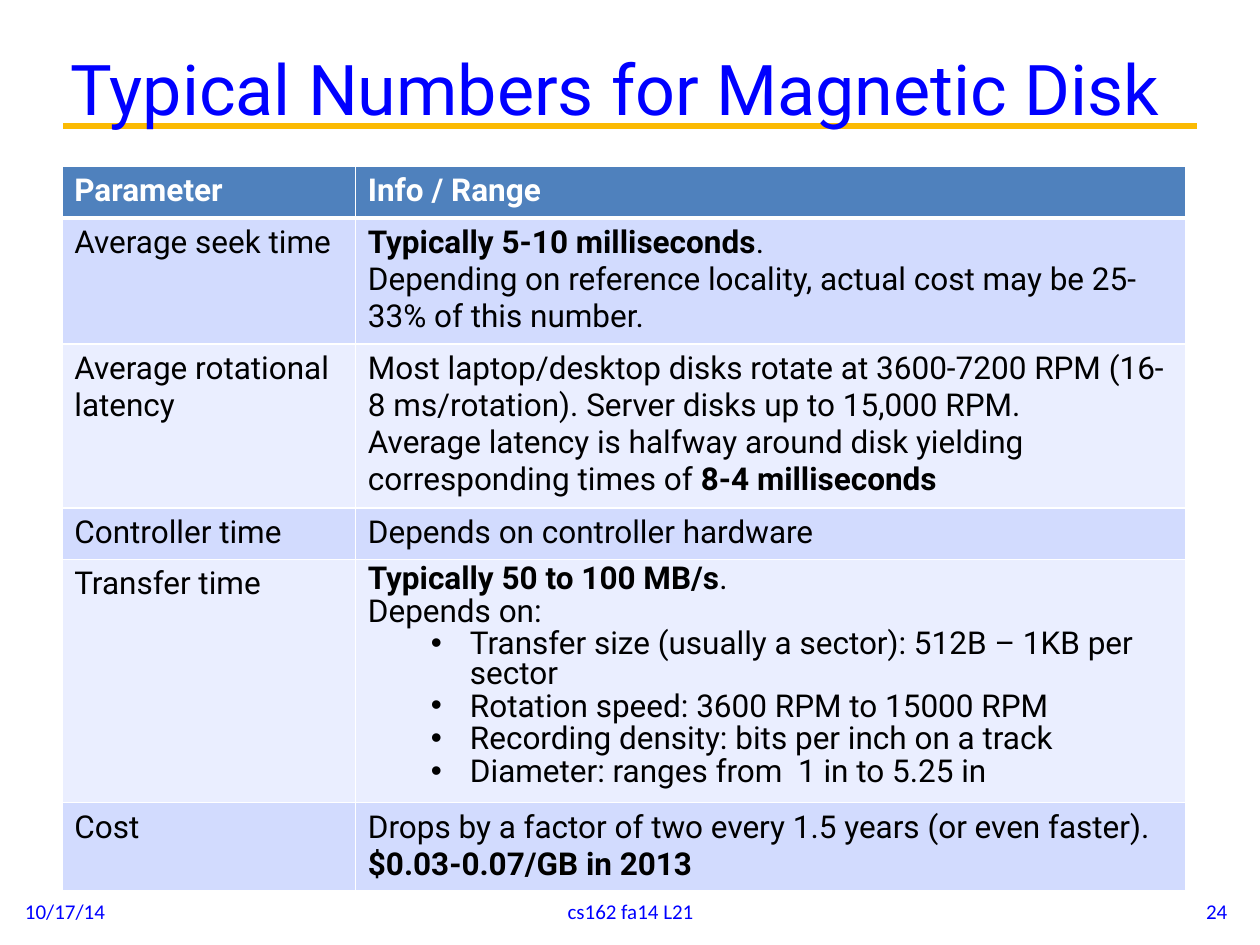
from lxml import etree
from pptx import Presentation
from pptx import util as u
from pptx.dml.color import RGBColor
from pptx.enum import shapes, text
from pptx.oxml.ns import qn

INK = {
    "blue": "0000FF", "gold": "FBBA03", "head": "4F81BD", "dark": "D2DBFE",
    "light": "EAEEFF", "white": "FFFFFF", "black": "000000",
}
COLS = [2.33, 6.59]
HIGHS = [0.41, 1, 1.3, 0.41, 1.93, 0.7]
BULLET = "• "
# Text between asterisks is bold; a leading bullet makes a list item.
ROWS = [
    (["*Parameter*"], ["*Info / Range*"]),
    (["Average seek time"],
     ["*Typically 5-10 milliseconds*.",
      "Depending on reference locality, actual cost may be 25-33% of this number."]),
    (["Average rotational latency"],
     ["Most laptop/desktop disks rotate at 3600-7200 RPM (16-8 ms/rotation). "
      "Server disks up to 15,000 RPM.",
      "Average latency is halfway around disk yielding corresponding times of "
      "*8-4 milliseconds*"]),
    (["Controller time"], ["Depends on controller hardware"]),
    (["Transfer time"],
     ["*Typically 50 to 100 MB/s*.",
      "Depends on:",
      "• Transfer size (usually a sector): 512B – 1KB per sector",
      "• Rotation speed: 3600 RPM to 15000 RPM",
      "• Recording density: bits per inch on a track",
      "• Diameter: ranges from  1 in to 5.25 in"]),
    (["Cost"],
     ["Drops by a factor of two every 1.5 years (or even faster).",
      "*$0.03-0.07/GB in 2013*"]),
]
FOOTS = [
    (0.1, 2.33, "10/17/14", text.PP_ALIGN.LEFT),
    (3.42, 3.17, "cs162 fa14 L21", text.PP_ALIGN.CENTER),
    (7.51, 2.33, "24", text.PP_ALIGN.RIGHT),
]


def color(name):
    return RGBColor.from_string(INK[name])


def add_run(para, words, size, ink, font="Roboto", bold=False):
    run = para.add_run()
    run.text = words
    run.font.size = u.Pt(size)
    run.font.name = font
    run.font.bold = bold
    run.font.color.rgb = color(ink)


def add_rule(slide):
    rule = slide.shapes.add_connector(
        shapes.MSO_CONNECTOR.STRAIGHT,
        u.Inches(0.5), u.Inches(1), u.Inches(9.5), u.Inches(1))
    rule.line.color.rgb = color("gold")
    rule.line.width = u.Pt(3.75)
    etree.SubElement(rule._element.spPr, qn("a:effectLst"))


def set_title(slide, words):
    title = slide.shapes.title
    title.left, title.top = u.Inches(0.49), u.Inches(0.33)
    title.width, title.height = u.Inches(8.81), u.Inches(0.73)
    frame = title.text_frame
    frame.margin_left = frame.margin_right = u.Inches(0.07)
    frame.margin_top = frame.margin_bottom = u.Inches(0.03)
    frame.word_wrap = False
    frame.auto_size = text.MSO_AUTO_SIZE.SHAPE_TO_FIT_TEXT
    frame.vertical_anchor = text.MSO_ANCHOR.MIDDLE
    para = frame.paragraphs[0]
    para.alignment = text.PP_ALIGN.LEFT
    add_run(para, words, 40, "blue")
    slide.shapes._spTree.append(title._element)  # in front of the rule


def add_edges(cell, top, base):
    """Draw white cell borders; top and base are widths in points."""
    props = cell._tc.get_or_add_tcPr()
    for side, width in (("L", 1), ("R", 1), ("T", top), ("B", base)):
        line = etree.SubElement(props, qn("a:ln" + side), w=str(u.Pt(width)))
        fill = etree.SubElement(line, qn("a:solidFill"))
        etree.SubElement(fill, qn("a:srgbClr"), val=INK["white"])


def set_bullet(para):
    para.level = 1
    props = para._p.get_or_add_pPr()
    props.set("marL", str(u.Inches(0.81)))
    props.set("indent", str(u.Inches(-0.31)))
    etree.SubElement(props, qn("a:buFont"), typeface="Arial")
    etree.SubElement(props, qn("a:buChar"), char=BULLET.strip())


def fill_cell(cell, lines, ink):
    tight = any(line.startswith(BULLET) for line in lines)
    frame = cell.text_frame
    for i, line in enumerate(lines):
        para = frame.add_paragraph() if i else frame.paragraphs[0]
        if tight:
            para.line_spacing = 0.8
            para.space_before = u.Pt(1.8)
        if line.startswith(BULLET):
            set_bullet(para)
        for j, part in enumerate(line.removeprefix(BULLET).split("*")):
            if part:
                add_run(para, part, 18, ink, bold=j % 2 == 1)


def add_grid(slide):
    grid = slide.shapes.add_table(
        len(ROWS), len(COLS), u.Inches(0.49), u.Inches(1.32),
        u.Inches(sum(COLS)), u.Inches(sum(HIGHS))).table
    for col, width in zip(grid.columns, COLS):
        col.width = u.Inches(width)
    for r, (row, high) in enumerate(zip(ROWS, HIGHS)):
        grid.rows[r].height = u.Inches(high)
        shade = "head" if r == 0 else ("light", "dark")[r % 2]
        for c, lines in enumerate(row):
            cell = grid.cell(r, c)
            add_edges(cell, 3 if r == 1 else 1, 3 if r == 0 else 1)
            cell.fill.solid()
            cell.fill.fore_color.rgb = color(shade)
            fill_cell(cell, lines, "black" if r else "white")


def add_foot(slide, left, width, words, align):
    box = slide.shapes.add_textbox(
        u.Inches(left), u.Inches(7.03), u.Inches(width), u.Inches(0.4))
    frame = box.text_frame
    frame.word_wrap = True
    frame.vertical_anchor = text.MSO_ANCHOR.MIDDLE
    para = frame.paragraphs[0]
    para.alignment = align
    add_run(para, words, 12, "blue", "Calibri")


def main():
    deck = Presentation()
    deck.slide_width, deck.slide_height = u.Inches(10), u.Inches(7.5)
    slide = deck.slides.add_slide(deck.slide_layouts[5])
    add_rule(slide)
    set_title(slide, "Typical Numbers for Magnetic Disk")
    add_grid(slide)
    for foot in FOOTS:
        add_foot(slide, *foot)
    deck.save("out.pptx")


if __name__ == "__main__":
    main()
